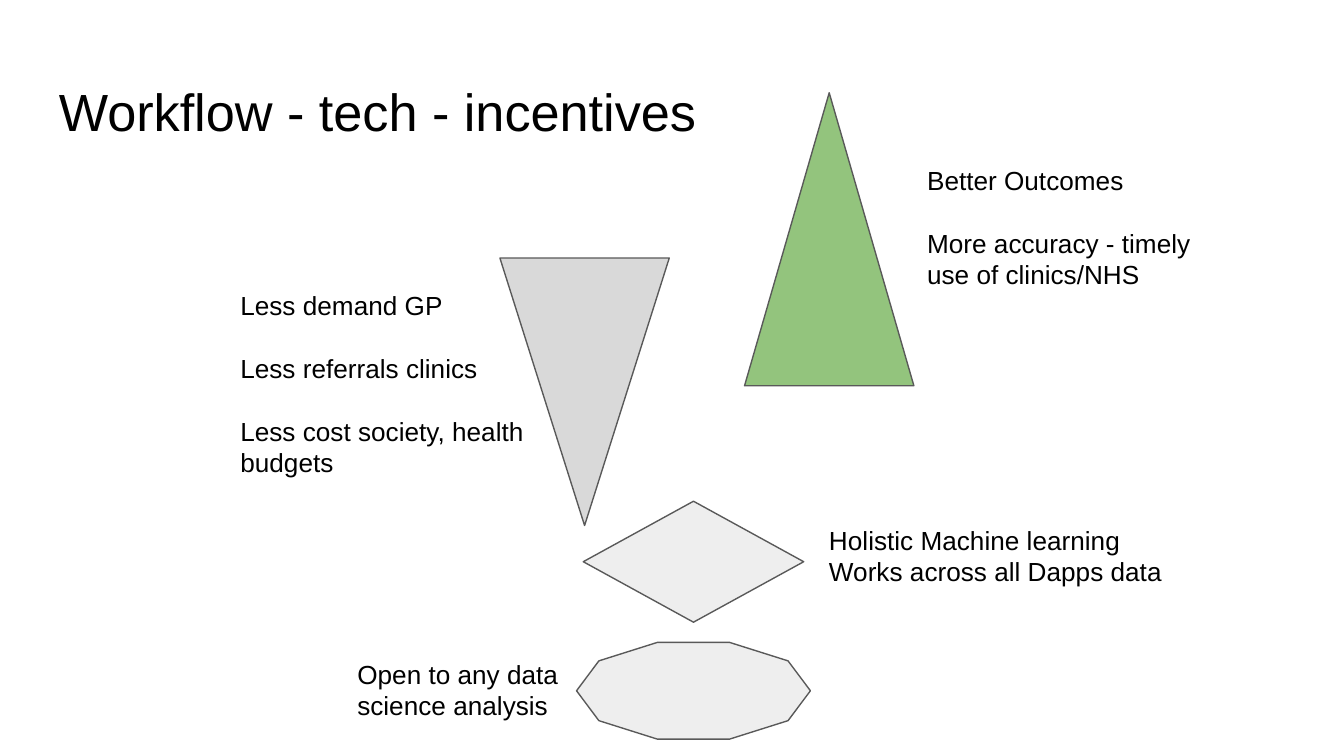
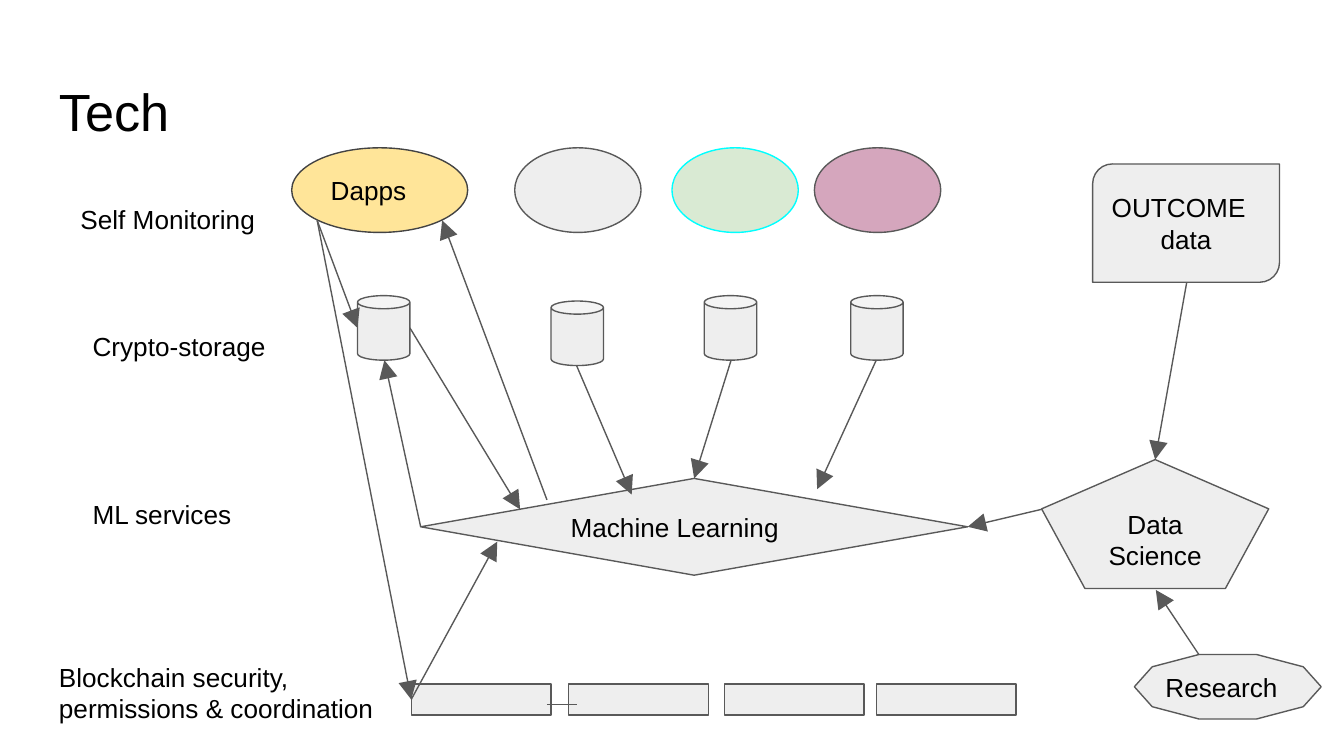
"""Build two slides on health workflow incentives and the tech behind them."""
from lxml.etree import SubElement
from pptx import Presentation
from pptx.dml.color import RGBColor
from pptx.enum.shapes import MSO_CONNECTOR, MSO_SHAPE
from pptx.enum.text import MSO_ANCHOR, PP_ALIGN
from pptx.oxml.ns import qn
from pptx.util import Inches, Pt

WIDE = 10
HIGH = WIDE * 9 / 16
FONT = "Arial"
BLACK = RGBColor(0x00, 0x00, 0x00)
EDGE = RGBColor(0x59, 0x59, 0x59)
DARK = RGBColor(0x43, 0x43, 0x43)
PALE = RGBColor(0xEE, 0xEE, 0xEE)
GREY = RGBColor(0xD9, 0xD9, 0xD9)
GREEN = RGBColor(0x93, 0xC4, 0x7D)
GOLD = RGBColor(0xFF, 0xE5, 0x99)
MINT = RGBColor(0xD9, 0xEA, 0xD3)
CYAN = RGBColor(0x00, 0xFF, 0xFF)
PINK = RGBColor(0xD5, 0xA6, 0xBD)
LEFT, MID = PP_ALIGN.LEFT, PP_ALIGN.CENTER

GOALS = [
    (MSO_SHAPE.FLOWCHART_MERGE, (3.72, 1.92, 1.26, 1.99), GREY),
    (MSO_SHAPE.FLOWCHART_EXTRACT, (5.54, 0.69, 1.26, 2.18), GREEN),
    (MSO_SHAPE.DIAMOND, (4.34, 3.73, 1.64, 0.9), PALE),
    (MSO_SHAPE.DECAGON, (4.29, 4.78, 1.74, 0.72), PALE),
]
NOTES = [
    ("Better Outcomes\nMore accuracy - timely use of clinics/NHS", (6.8, 1.12, 2.43, 1.56), 17),
    ("Less demand GP\nLess referrals clinics\nLess cost society, health budgets",
     (1.69, 2.05, 2.43, 1.56), 17),
    ("Holistic Machine learning\nWorks across all Dapps data", (6.07, 3.8, 2.87, 0.76), 0),
    ("Open to any data science analysis", (2.56, 4.8, 1.81, 0.76), 0),
]

LAYERS = [
    ("Self Monitoring", (0.5, 1.41, 1.58, 0.55)),
    ("Crypto-storage", (0.59, 2.36, 1.58, 0.55)),
    ("ML services", (0.59, 3.61, 1.58, 0.55)),
    ("Blockchain security, permissions & coordination", (0.34, 4.82, 2.62, 0.55)),
]
APPS = [(3.83, 0.94, PALE, EDGE, ""), (2.17, 1.31, GOLD, DARK, "Dapps"),
        (5, 0.94, MINT, CYAN, ""), (6.06, 0.94, PINK, EDGE, "")]
STORES = [(2.66, 2.2), (4.1, 2.24), (5.24, 2.2), (6.33, 2.2)]
BLOCKS = [3.06, 4.23, 5.39, 6.52]
NODES = {
    "learn": (MSO_SHAPE.DIAMOND, (3.13, 3.56, 4.07, 0.72), "Machine Learning", [LEFT]),
    "study": (MSO_SHAPE.REGULAR_PENTAGON, (7.75, 3.42, 1.69, 0.96), "Data\nScience", [MID, MID]),
    "result": (MSO_SHAPE.ROUND_2_DIAG_RECTANGLE, (8.13, 1.22, 1.39, 0.88),
               "OUTCOME\ndata", [LEFT, MID]),
    "search": (MSO_SHAPE.DECAGON, (8.44, 4.87, 1.39, 0.48), "Research", [LEFT]),
}
DAPP = (2.36, 1.64)
FLOWS = [
    ((3.05, 2.44), (3.87, 3.79)),
    ((4.29, 2.72), (4.7, 3.68)),
    ((5.44, 2.68), ("learn", 0)),
    ((6.52, 2.68), (6.08, 3.64)),
    ((4.07, 3.72), (3.29, 1.64)),
    (DAPP, ("chain", 1)),
    (("chain", 1), (3.7, 4.03)),
    (("learn", 1), (2.86, 2.68)),
    (DAPP, (2.66, 2.44)),
    ((7.75, 3.79), ("learn", 3)),
    ((8.83, 2.1), ("study", 0)),
    ((8.92, 4.87), (8.6, 4.39)),
]


def write(frame, text, size=14, gap=0, aligns=(LEFT,)):
    frame.word_wrap = True
    frame.margin_left = frame.margin_right = Inches(0.1)
    frame.margin_top = frame.margin_bottom = Inches(0.1)
    frame.text = text
    for i, par in enumerate(frame.paragraphs):
        par.alignment = aligns[i % len(aligns)]
        par.space_before = Pt(gap if i else 0)
        for run in par.runs:
            run.font.size = Pt(size)
            run.font.name = FONT
            run.font.color.rgb = BLACK


def label(slide, text, box, size=14, gap=0):
    frame = slide.shapes.add_textbox(*map(Inches, box)).text_frame
    frame.vertical_anchor = MSO_ANCHOR.TOP
    write(frame, text, size, gap)


def draw(slide, kind, box, fill=PALE, edge=EDGE, text="", aligns=(LEFT,)):
    shape = slide.shapes.add_shape(kind, *map(Inches, box))
    shape.shadow.inherit = False
    shape.fill.solid()
    shape.fill.fore_color.rgb = fill
    shape.line.color.rgb = edge
    shape.line.width = Pt(0.75)
    if text:
        shape.text_frame.vertical_anchor = MSO_ANCHOR.MIDDLE
        write(shape.text_frame, text, aligns=aligns)
    return shape


def link(slide, start, end, parts, arrow=True):
    spots = [(0, 0) if isinstance(p[0], str) else p for p in (start, end)]
    line = slide.shapes.add_connector(
        MSO_CONNECTOR.STRAIGHT, *(Inches(v) for spot in spots for v in spot))
    for point, join in ((start, line.begin_connect), (end, line.end_connect)):
        if isinstance(point[0], str):
            join(parts[point[0]], point[1])
    line.line.color.rgb = EDGE
    line.line.width = Pt(0.75)
    props = line._element.spPr
    if arrow:
        SubElement(props.find(qn("a:ln")), qn("a:tailEnd"), type="triangle", w="lg", len="lg")
    SubElement(props, qn("a:effectLst"))


def begin(deck, title):
    slide = deck.slides.add_slide(deck.slide_layouts[6])
    label(slide, title, (0.34, 0.49, WIDE - 0.68, 0.63), 28)
    return slide


def main():
    deck = Presentation()
    deck.slide_width, deck.slide_height = Inches(WIDE), Inches(HIGH)

    slide = begin(deck, "Workflow - tech - incentives")
    for kind, box, fill in GOALS:
        draw(slide, kind, box, fill)
    for text, box, gap in NOTES:
        label(slide, text, box, gap=gap)

    slide = begin(deck, "Tech")
    for x, wide, fill, edge, text in APPS:
        draw(slide, MSO_SHAPE.OVAL, (x, 1.1, wide, 0.63), fill, edge, text)
    for text, box in LAYERS:
        label(slide, text, box)
    parts = {name: draw(slide, kind, box, text=text, aligns=aligns)
             for name, (kind, box, text, aligns) in NODES.items()}
    for x, y in STORES:
        draw(slide, MSO_SHAPE.CAN, (x, y, 0.39, 0.48))
    chain = [draw(slide, MSO_SHAPE.RECTANGLE, (x, 5.09, 1.04, 0.23)) for x in BLOCKS]
    parts["chain"] = chain[0]
    for tail, head in FLOWS:
        link(slide, tail, head, parts)
    link(slide, (4.07, 5.24), (4.29, 5.24), parts, arrow=False)

    deck.save("out.pptx")


if __name__ == "__main__":
    main()
